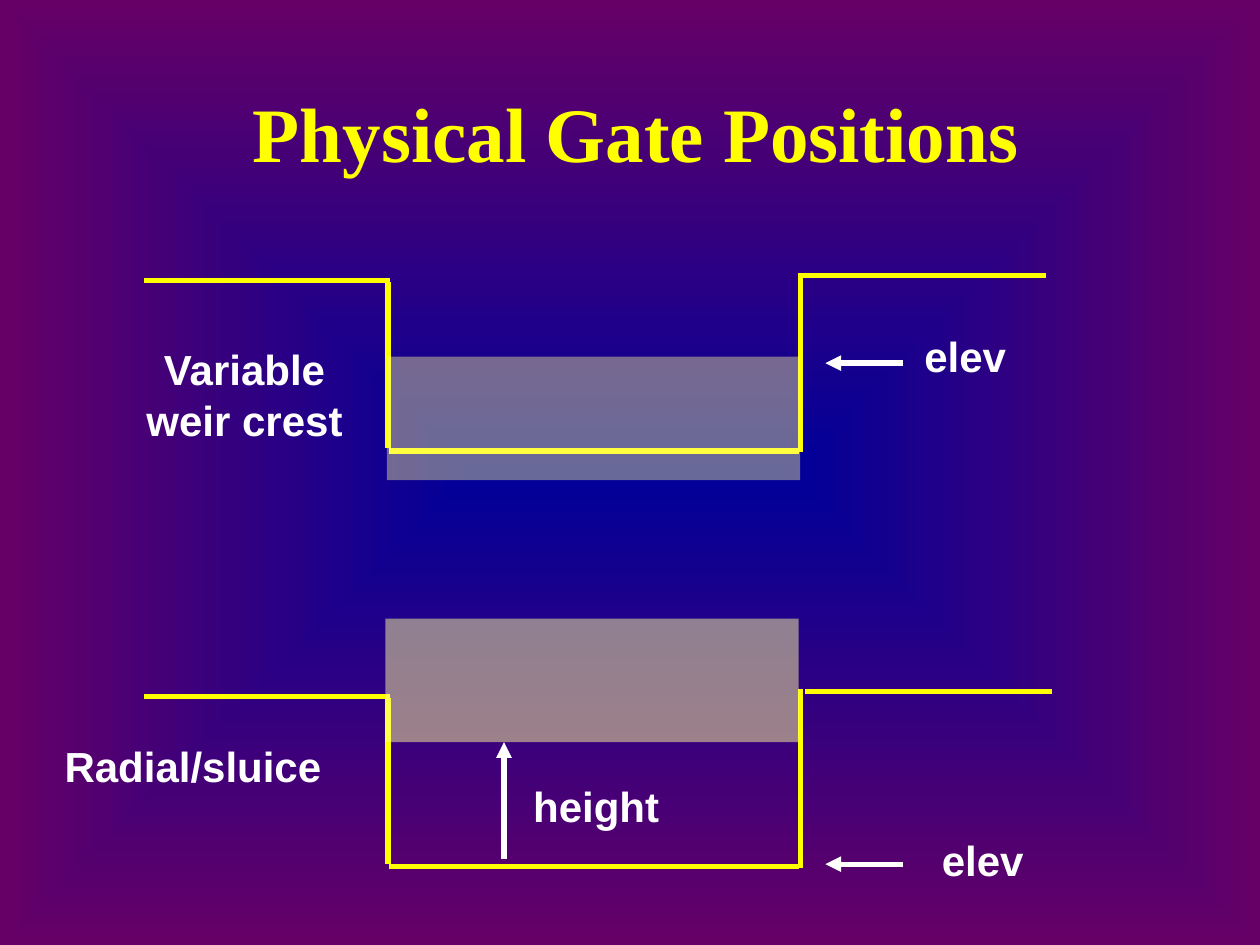
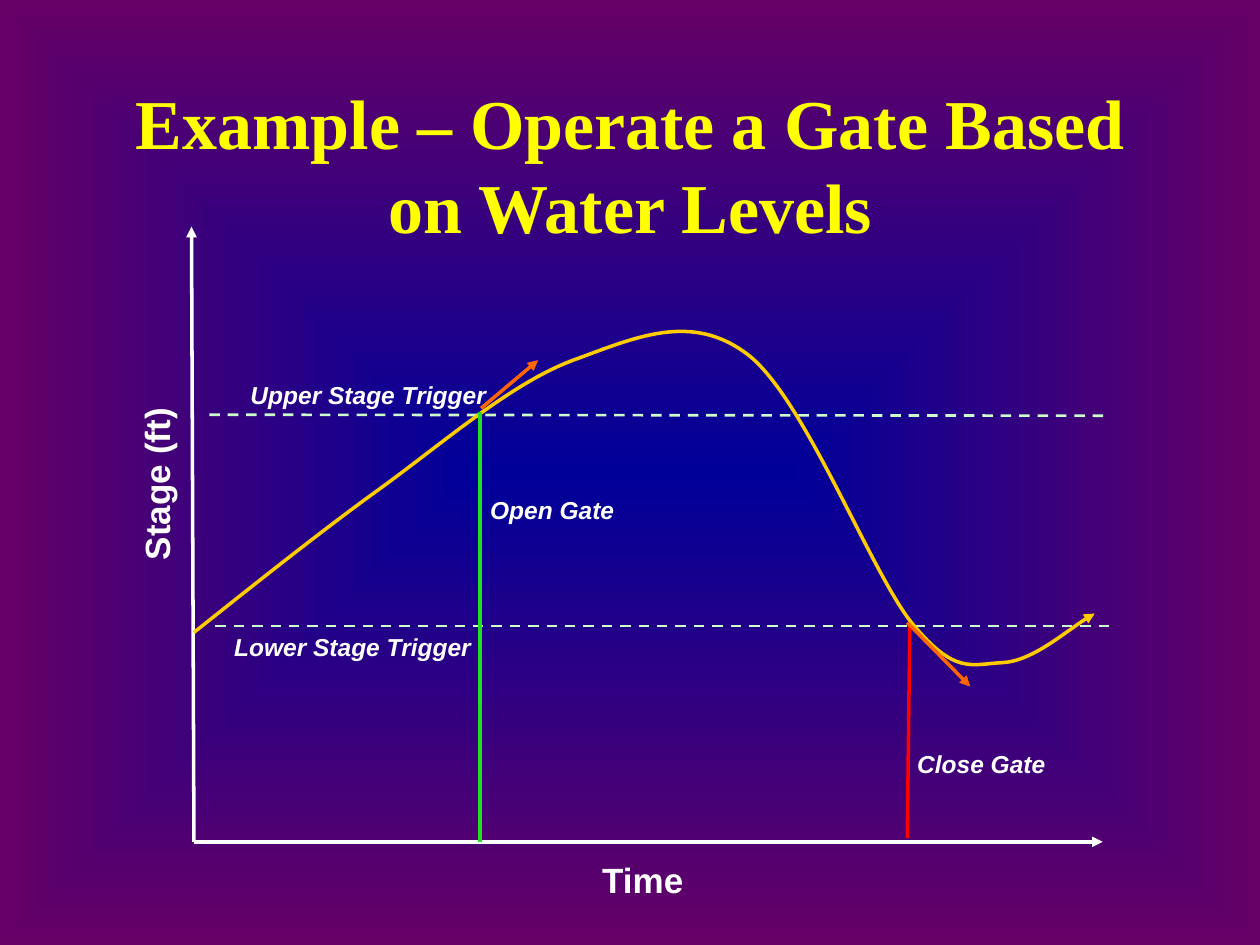
from dataclasses import dataclass

import pptx
import pptx.dml.color
import pptx.enum.dml
import pptx.enum.shapes
import pptx.enum.text
import pptx.oxml
import pptx.oxml.ns
import pptx.util
from pptx.util import Cm
from lxml import etree

qn = pptx.oxml.ns.qn
Align = pptx.enum.text.PP_ALIGN
Anchor = pptx.enum.text.MSO_ANCHOR


@dataclass(frozen=True)
class Theme:
    centre: str = "000099"
    edge: str = "660066"
    title: str = "FFFF00"
    channel: str = "FFFF00"
    gate: str = "FFFF99"
    ink: str = "FFFFFF"
    trigger: str = "CCFFCC"
    stage: str = "FFCC00"
    opening: str = "21DF21"
    closing: str = "FF0000"
    trend: str = "FF6600"
    title_font: str = "Times New Roman"
    body_font: str = "Arial"
    title_size: int = 44
    long_title_size: int = 40
    label_size: int = 24
    axis_size: int = 20
    note_size: int = 14
    heavy: float = 3
    medium: float = 2
    thin: float = 1.5


THEME = Theme()


@dataclass(frozen=True)
class Stroke:
    """A straight line; all lengths in centimetres."""
    x1: float
    y1: float
    x2: float
    y2: float
    color: str
    width: float
    arrow: bool = False
    dashed: bool = False


@dataclass(frozen=True)
class Label:
    text: str
    left: float
    top: float
    width: float
    height: float


def rgb(color: str) -> pptx.dml.color.RGBColor:
    return pptx.dml.color.RGBColor.from_string(color)


def add_arrowhead(line_shape) -> None:
    etree.SubElement(line_shape.line._get_or_add_ln(), qn("a:tailEnd"), type="triangle")


def add_text(slide, label: Label, *, size: int, font: str = THEME.body_font,
             color: str = THEME.ink, italic: bool = False, align=Align.LEFT,
             anchor=Anchor.TOP, inset: bool = True, rotation: float = 0) -> None:
    box = slide.shapes.add_textbox(Cm(label.left), Cm(label.top),
                                   Cm(label.width), Cm(label.height))
    box.rotation = rotation
    frame = box.text_frame
    frame.word_wrap = True
    frame.vertical_anchor = anchor
    if not inset:
        frame.margin_left = frame.margin_right = Cm(0)
        frame.margin_top = frame.margin_bottom = Cm(0)
    paragraph = frame.paragraphs[0]
    paragraph.alignment = align
    run = paragraph.add_run()
    run.text = label.text
    run.font.name = font
    run.font.size = pptx.util.Pt(size)
    run.font.bold = True
    run.font.italic = italic
    run.font.color.rgb = rgb(color)


def add_title(slide, text: str, left: float, top: float, size: int) -> None:
    add_text(slide, Label(text, left, top, 21.59, 3.18), size=size,
             font=THEME.title_font, color=THEME.title,
             align=Align.CENTER, anchor=Anchor.MIDDLE)


def add_stroke(slide, stroke: Stroke) -> None:
    connector = slide.shapes.add_connector(
        pptx.enum.shapes.MSO_CONNECTOR.STRAIGHT,
        Cm(stroke.x1), Cm(stroke.y1), Cm(stroke.x2), Cm(stroke.y2))
    connector.line.color.rgb = rgb(stroke.color)
    connector.line.width = pptx.util.Pt(stroke.width)
    if stroke.dashed:
        connector.line.dash_style = pptx.enum.dml.MSO_LINE.DASH
    if stroke.arrow:
        add_arrowhead(connector)
    properties = connector._element.find(qn("p:spPr"))
    etree.SubElement(properties, qn("a:effectLst"))


def add_channel(slide, drop: float = 0, bank_shift: float = 0) -> None:
    """Sill, right bank, left bank, right wall and left wall."""
    for x1, y1, x2, y2 in (
        (7.85, 9.09, 16.10, 9.09),
        (16.10 + bank_shift, 5.56, 21.08 + bank_shift, 5.56),
        (2.90, 5.66, 7.87, 5.66),
        (16.13, 5.51, 16.13, 9.12),
        (7.82, 5.69, 7.82, 9.04),
    ):
        add_stroke(slide, Stroke(x1, y1 + drop, x2, y2 + drop,
                                 THEME.channel, THEME.heavy))


def add_gate(slide, left: float, top: float, opacity: int) -> None:
    gate = slide.shapes.add_shape(pptx.enum.shapes.MSO_SHAPE.RECTANGLE,
                                  Cm(left), Cm(top), Cm(8.33), Cm(2.49))
    gate.shadow.inherit = False
    gate.line.fill.background()
    gate.fill.solid()
    gate.fill.fore_color.rgb = rgb(THEME.gate)
    color = next(gate._element.iter(qn("a:srgbClr")))
    etree.SubElement(color, qn("a:alpha"), val=str(opacity * 1000))


def add_stage_curve(slide, points: list[tuple[float, float]]) -> None:
    """Draw cubic curves: a start, then two controls and an end for each."""
    start, *rest = [(Cm(x), Cm(y)) for x, y in points]
    builder = slide.shapes.build_freeform(*start)
    builder.add_line_segments(rest, close=False)
    curve = builder.convert_to_shape()
    curve.shadow.inherit = False
    curve.fill.background()
    curve.line.color.rgb = rgb(THEME.stage)
    curve.line.width = pptx.util.Pt(THEME.medium)
    add_arrowhead(curve)

    outline = next(curve._element.iter(qn("a:path")))
    segments = outline.findall(qn("a:lnTo"))
    for first in range(0, len(segments), 3):
        cubic = etree.SubElement(outline, qn("a:cubicBezTo"))
        for segment in segments[first:first + 3]:
            cubic.append(segment[0])
            outline.remove(segment)


def set_background(master) -> None:
    fill = master.background.fill
    fill.gradient()
    for stop, color in zip(fill.gradient_stops, (THEME.centre, THEME.edge)):
        stop.color.rgb = rgb(color)
    gradient = next(master._element.iter(qn("a:gradFill")))
    linear = gradient.find(qn("a:lin"))
    rectangular = etree.Element(qn("a:path"), path="rect")
    etree.SubElement(rectangular, qn("a:fillToRect"),
                     l="50000", t="50000", r="50000", b="50000")
    gradient.replace(linear, rectangular)


def build_gate_positions(slide) -> None:
    add_title(slide, "Physical Gate Positions", 2.03, 1.07, THEME.title_size)

    # Weir above, radial or sluice gate below
    add_channel(slide)
    add_gate(slide, 7.80, 7.19, opacity=41)
    add_channel(slide, drop=8.38, bank_shift=0.13)
    add_gate(slide, 7.77, 12.47, opacity=50)

    # Elevation and height arrows
    for x1, y1, x2, y2 in (
        (18.21, 7.32, 16.64, 7.32),
        (18.21, 17.42, 16.64, 17.42),
        (10.16, 17.32, 10.16, 14.96),
    ):
        add_stroke(slide, Stroke(x1, y1, x2, y2, THEME.ink, THEME.heavy, arrow=True))

    for label in (
        Label("elev", 16.97, 6.53, 4.98, 1.27),
        Label("height", 9.53, 15.60, 4.98, 1.27),
        Label("elev", 17.32, 16.69, 4.98, 1.27),
        Label("Variable weir crest", 2.62, 6.81, 4.62, 2.29),
        Label("Radial/sluice", 0.84, 14.81, 6.10, 1.27),
    ):
        add_text(slide, label, size=THEME.label_size, align=Align.CENTER)


def build_water_levels(slide) -> None:
    add_title(slide, "Example – Operate a Gate Based on Water Levels",
              1.91, 1.70, THEME.long_title_size)

    # Axes and trigger levels
    for stroke in (
        Stroke(3.91, 16.97, 3.86, 4.57, THEME.ink, THEME.medium, arrow=True),
        Stroke(3.91, 16.97, 22.23, 16.97, THEME.ink, THEME.medium, arrow=True),
        Stroke(4.22, 8.36, 22.33, 8.38, THEME.trigger, THEME.thin, dashed=True),
        Stroke(4.34, 12.62, 22.45, 12.62, THEME.trigger, THEME.thin, dashed=True),
    ):
        add_stroke(slide, stroke)

    add_stage_curve(slide, [
        (3.91, 12.75),
        (4.52, 12.27), (6.38, 10.77), (7.65, 9.86),
        (8.92, 8.94), (10.31, 7.72), (11.56, 7.26),
        (12.80, 6.81), (13.94, 6.27), (15.09, 7.16),
        (16.23, 8.05), (17.55, 11.53), (18.39, 12.57),
        (19.25, 13.61), (19.58, 13.39), (20.19, 13.36),
        (20.80, 13.34), (21.67, 12.57), (22.07, 12.37),
    ])

    # Gate events and the trend of the stage at each
    for stroke in (
        Stroke(9.68, 8.31, 9.68, 16.97, THEME.opening, THEME.medium),
        Stroke(18.34, 12.62, 18.29, 16.89, THEME.closing, THEME.medium),
        Stroke(9.70, 8.23, 10.85, 7.26, THEME.trend, THEME.medium, arrow=True),
        Stroke(18.29, 12.55, 19.56, 13.84, THEME.trend, THEME.medium, arrow=True),
    ):
        add_stroke(slide, stroke)

    for note in (
        Label("Upper Stage Trigger", 5.05, 7.67, 5.33, 0.71),
        Label("Lower Stage Trigger", 4.72, 12.75, 5.33, 0.99),
        Label("Close Gate", 18.49, 15.09, 2.80, 1.02),
        Label("Open Gate", 9.88, 9.98, 2.80, 1.02),
    ):
        add_text(slide, note, size=THEME.note_size, italic=True, inset=False)

    # Axis names
    add_text(slide, Label("Time", 12.14, 17.30, 2.20, 1.14),
             size=THEME.axis_size, inset=False)
    add_text(slide, Label("Stage (ft)", 1.04, 8.86, 4.24, 1.12),
             size=THEME.axis_size, rotation=270)


def main() -> None:
    deck = pptx.Presentation()
    deck.slide_width, deck.slide_height = Cm(25.4), Cm(19.05)
    set_background(deck.slide_master)
    blank = deck.slide_layouts[6]
    for build in (build_gate_positions, build_water_levels):
        build(deck.slides.add_slide(blank))
    deck.save("out.pptx")


if __name__ == "__main__":
    main()
